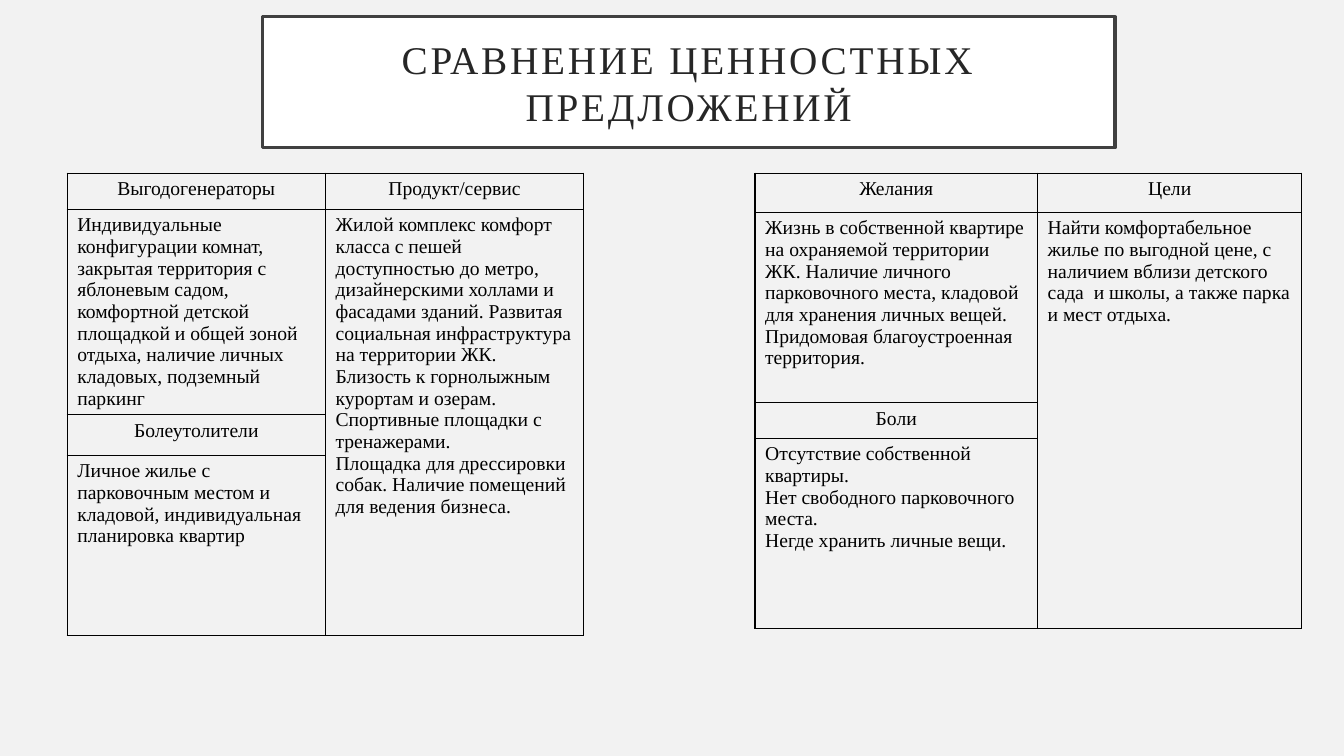
import pptx
import pptx.util
import pptx.dml.color
import pptx.enum.text
import pptx.oxml.ns
import lxml.etree

WIDTH = pptx.util.Inches(13.33)
HEIGHT = pptx.util.Inches(7.5)
FONT = "Times New Roman"
CENTER = pptx.enum.text.PP_ALIGN.CENTER
LEFT = pptx.enum.text.PP_ALIGN.LEFT
TABLE_TOP = 22.93

OFFER_COLS = [19.22, 19.22]
OFFER_ROWS = [4.75, 27.2, 5.35, 23.85]
OFFER = [
    ["Выгодогенераторы", "Продукт/сервис"],
    ["Индивидуальные конфигурации комнат, закрытая территория с яблоневым садом, "
     "комфортной детской площадкой и общей зоной отдыха, наличие личных кладовых, "
     "подземный паркинг",
     "Жилой комплекс комфорт класса с пешей доступностью до метро, дизайнерскими "
     "холлами и фасадами зданий. Развитая социальная инфраструктура на территории ЖК. "
     "Близость к горнолыжным курортам и озерам. Спортивные площадки с тренажерами.\n"
     "Площадка для дрессировки собак. Наличие помещений для ведения бизнеса."],
    ["Болеутолители"],
    ["Личное жилье с парковочным местом и кладовой, индивидуальная планировка квартир"],
]

CLIENT_COLS = [21.02, 19.67]
CLIENT_ROWS = [5.15, 25.2, 4.7, 25.2]
CLIENT = [
    ["Желания", "Цели"],
    ["Жизнь в собственной квартире на охраняемой территории ЖК. Наличие личного "
     "парковочного места, кладовой для хранения личных вещей. Придомовая "
     "благоустроенная территория.",
     "Найти комфортабельное жилье по выгодной цене, с наличием вблизи детского "
     "сада  и школы, а также парка и мест отдыха."],
    ["Боли"],
    ["Отсутствие собственной квартиры.\nНет свободного парковочного места.\n"
     "Негде хранить личные вещи."],
]


def across(percent):
    return int(WIDTH * percent / 100)


def down(percent):
    return int(HEIGHT * percent / 100)


def paint(color_format, hex_color):
    color_format.rgb = pptx.dml.color.RGBColor.from_string(hex_color)


def write(tf, text, size=14, color="000000", align=LEFT, spacing=0):
    for i, line in enumerate(text.split("\n")):
        p = tf.add_paragraph() if i else tf.paragraphs[0]
        p.alignment = align
        p.line_spacing = 1.0
        r = p.add_run()
        r.text = line
        r.font.name = FONT
        r.font.size = pptx.util.Pt(size)
        r.font.bold = False
        paint(r.font.color, color)
        if spacing:
            r.font._element.set("spc", str(spacing * 100))


def add_borders(cell, color="000000", width=1):
    props = cell._tc.get_or_add_tcPr()
    qn = pptx.oxml.ns.qn
    for i, side in enumerate(("lnL", "lnR", "lnT", "lnB")):
        ln = lxml.etree.Element(qn("a:" + side), w=str(pptx.util.Pt(width)))
        fill = lxml.etree.SubElement(ln, qn("a:solidFill"))
        lxml.etree.SubElement(fill, qn("a:srgbClr"), val=color)
        props.insert(i, ln)


def add_title(slide, text):
    sp = slide.shapes.title
    sp.left, sp.top = across(19.55), down(2.2)
    sp.width, sp.height = across(63.4), down(17.35)
    sp.fill.solid()
    paint(sp.fill.fore_color, "FFFFFF")
    paint(sp.line.color, "404040")
    sp.line.width = pptx.util.Pt(2.5)
    tf = sp.text_frame
    tf.word_wrap = True
    tf.auto_size = pptx.enum.text.MSO_AUTO_SIZE.NONE
    tf.vertical_anchor = pptx.enum.text.MSO_ANCHOR.MIDDLE
    inset = pptx.util.Inches(0.2)
    tf.margin_left = tf.margin_right = tf.margin_top = tf.margin_bottom = inset
    write(tf, text, size=28, color="262626", align=CENTER, spacing=2)


def add_canvas_table(slide, left, cols, rows, content):
    frame = slide.shapes.add_table(len(rows), len(cols), across(left), down(TABLE_TOP),
                                   across(sum(cols)), down(sum(rows)))
    table = frame.table
    table.first_row = table.horz_banding = False
    for column, width in zip(table.columns, cols):
        column.width = across(width)
    for row, height in zip(table.rows, rows):
        row.height = down(height)
    for cell in table.iter_cells():
        cell.fill.background()
        add_borders(cell)
    table.cell(1, 1).merge(table.cell(len(rows) - 1, 1))
    for i, texts in enumerate(content):
        for j, text in enumerate(texts):
            align = LEFT if i % 2 else CENTER
            write(table.cell(i, j).text_frame, text, align=align)


def main():
    prs = pptx.Presentation()
    prs.slide_width, prs.slide_height = WIDTH, HEIGHT
    s = prs.slides.add_slide(prs.slide_layouts[5])
    s.background.fill.solid()
    paint(s.background.fill.fore_color, "F2F2F2")
    add_canvas_table(s, 5, OFFER_COLS, OFFER_ROWS, OFFER)
    add_canvas_table(s, 56.18, CLIENT_COLS, CLIENT_ROWS, CLIENT)
    add_title(s, "СРАВНЕНИЕ ЦЕННОСТНЫХ ПРЕДЛОЖЕНИЙ")
    prs.save("out.pptx")


if __name__ == "__main__":
    main()
